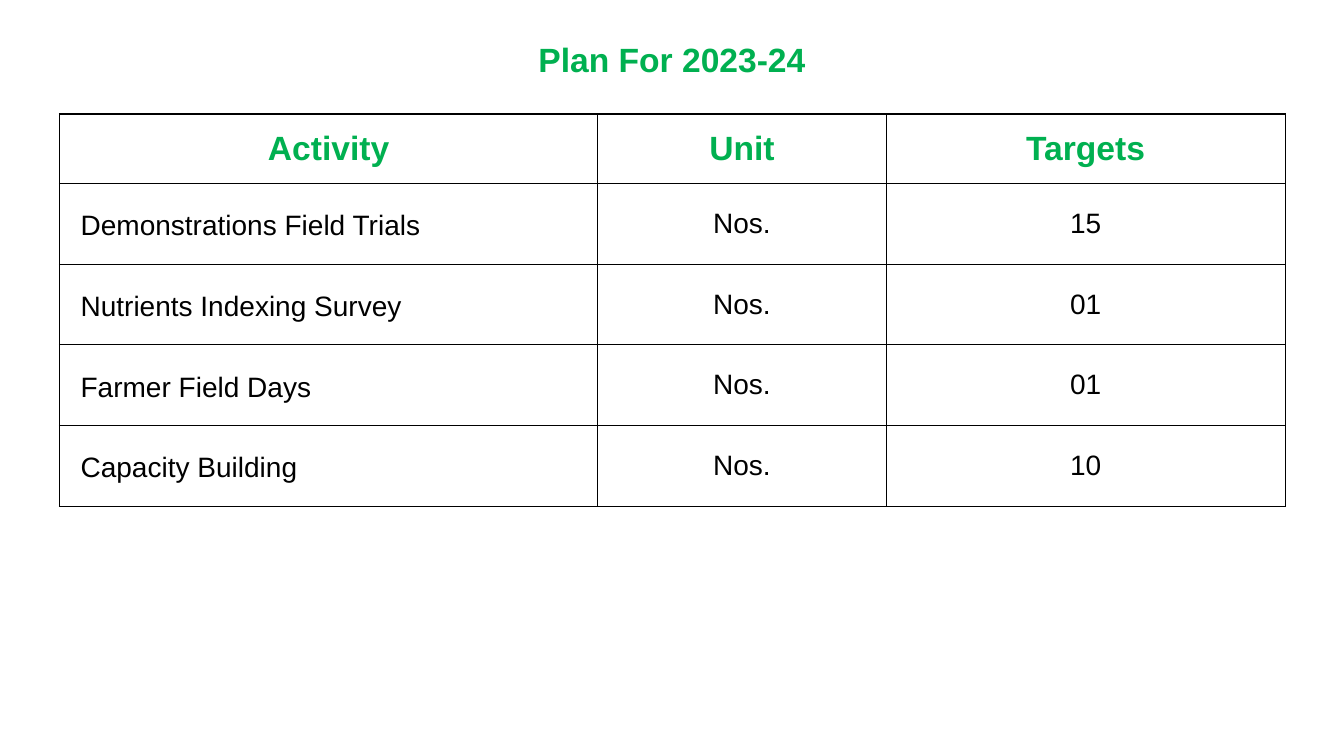
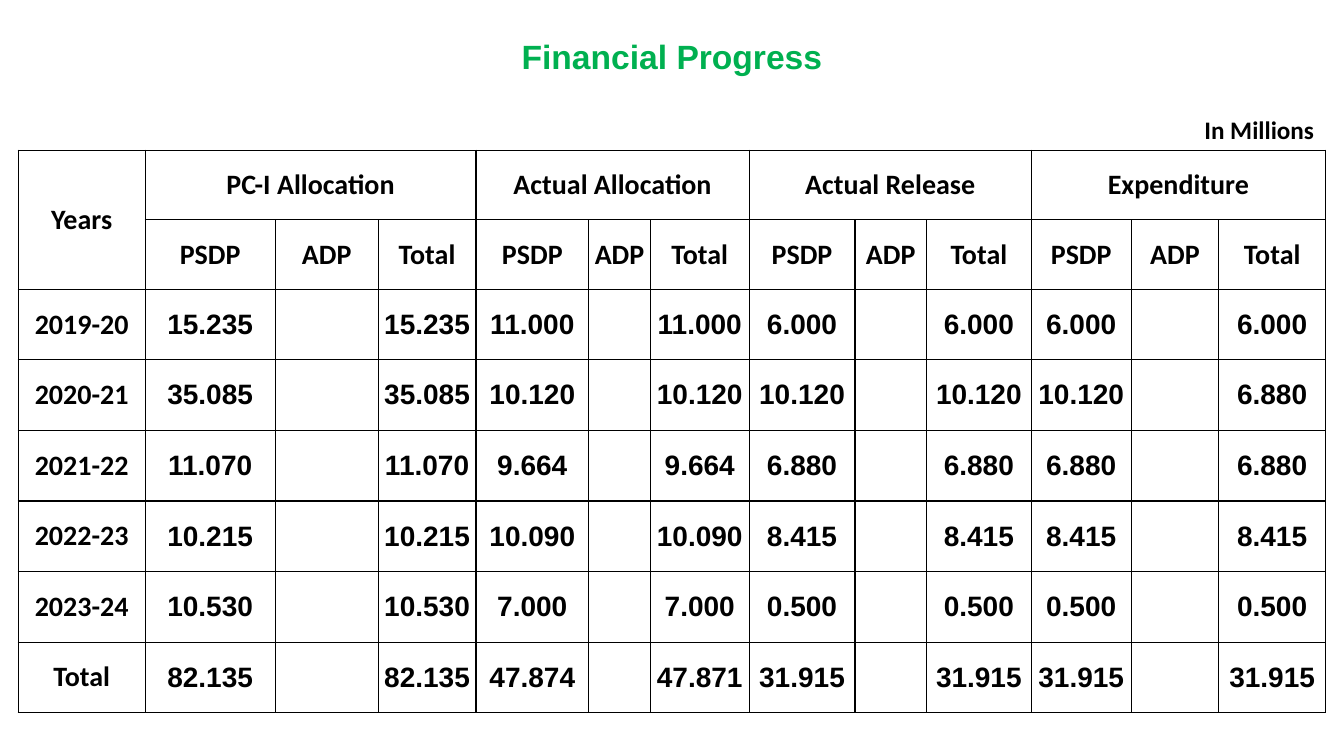
import pptx
import pptx.dml.color
import pptx.enum.text
import pptx.oxml
import pptx.oxml.ns
import pptx.util

Pt = pptx.util.Pt
ALIGN = pptx.enum.text.PP_ALIGN
MID = pptx.enum.text.MSO_ANCHOR.MIDDLE
GREEN, BLACK, WHITE = "00B050", "000000", "FFFFFF"
HEAD = {"name": "Arial", "size": Pt(24), "bold": True}
BODY = {"name": "Arial", "size": Pt(20), "bold": False}
BOLD = {**BODY, "bold": True}
LABEL = {**BOLD, "name": "Calibri"}
NOTE = {**LABEL, "size": Pt(18)}
WIDE, TALL = 960, 540


def tint(text):
    return pptx.dml.color.RGBColor.from_string(text)


def assign(item, values):
    for key, value in values.items():
        setattr(item, key, value)


class Deck:
    """Hold the shared style and the current slide."""

    def __init__(self):
        self.show = pptx.Presentation()
        assign(self.show, {"slide_width": Pt(WIDE), "slide_height": Pt(TALL)})
        self.slide = None

    def label(self, frame, text, font, color, align=ALIGN.CENTER):
        para = frame.paragraphs[0]
        para.alignment = align
        run = para.add_run()
        run.text = text
        assign(run.font, font)
        run.font.color.rgb = tint(color)

    def start(self, title, top):
        self.slide = self.show.slides.add_slide(self.show.slide_layouts[5])
        shape = self.slide.shapes.title
        assign(shape, {"left": Pt(120), "top": Pt(top),
                       "width": Pt(WIDE - 240), "height": Pt(36)})
        assign(shape.text_frame, {"vertical_anchor": MID,
                                  "auto_size": pptx.enum.text.MSO_AUTO_SIZE.NONE})
        self.label(shape.text_frame, title, HEAD, GREEN)

    def note(self, text, left, top, width, height):
        box = self.slide.shapes.add_textbox(Pt(left), Pt(top), Pt(width), Pt(height))
        box.text_frame.word_wrap = False
        self.label(box.text_frame, text, NOTE, BLACK, ALIGN.LEFT)

    def border(self, cell):
        props = cell._tc.get_or_add_tcPr()
        for side in "LRTB":
            props.append(pptx.oxml.parse_xml(
                f'<a:ln{side} {pptx.oxml.ns.nsdecls("a")} w="{Pt(1)}"><a:solidFill>'
                f'<a:srgbClr val="{BLACK}"/></a:solidFill></a:ln{side}>'))
        cell.fill.solid()
        cell.fill.fore_color.rgb = tint(WHITE)
        assign(cell, {"vertical_anchor": MID, "margin_left": Pt(4), "margin_right": Pt(4),
                      "margin_top": Pt(0), "margin_bottom": Pt(0)})

    def table(self, left, top, cols, rows, data, style):
        grid = self.slide.shapes.add_table(
            len(rows), len(cols), Pt(left), Pt(top), Pt(sum(cols)), Pt(sum(rows))).table
        assign(grid, {"first_row": False, "horz_banding": False})
        for col, width in zip(grid.columns, cols):
            col.width = Pt(width)
        for row, height in zip(grid.rows, rows):
            row.height = Pt(height)
        for r, line in enumerate(data):
            for c, text in enumerate(line):
                cell = grid.cell(r, c)
                self.border(cell)
                if text:
                    self.label(cell.text_frame, text, *style(r, c))
        return grid

    def indent(self, cell, left):
        para = cell.text_frame.paragraphs[0]
        assign(para, {"alignment": ALIGN.LEFT, "line_spacing": 1.15})
        para._p.get_or_add_pPr().set("marL", str(Pt(left)))
        assign(cell, {"margin_left": Pt(0.7), "margin_right": Pt(0.7)})


def plan(deck):
    deck.start("Plan For 2023-24", 24)
    targets = [("Demonstrations Field Trials", "15"), ("Nutrients Indexing Survey", "01"),
               ("Farmer Field Days", "01"), ("Capacity Building", "10")]
    data = [("Activity", "Unit", "Targets")] + [(name, "Nos.", goal) for name, goal in targets]
    grid = deck.table(42.5, 81.4, [384.5, 206, 285], [49.7] + [57.6] * len(targets), data,
                      lambda r, c: (BODY, BLACK) if r else (HEAD, GREEN))
    for r in range(1, len(data)):
        deck.indent(grid.cell(r, 0), 14.4)


def finance(deck):
    deck.start("Financial Progress", 22)
    groups = ["PC-I Allocation", "Actual Allocation", "Actual Release", "Expenditure"]
    years = [
        "2019-20 15.235 15.235 11.000 11.000 6.000 6.000 6.000 6.000",
        "2020-21 35.085 35.085 10.120 10.120 10.120 10.120 10.120 6.880",
        "2021-22 11.070 11.070 9.664 9.664 6.880 6.880 6.880 6.880",
        "2022-23 10.215 10.215 10.090 10.090 8.415 8.415 8.415 8.415",
        "2023-24 10.530 10.530 7.000 7.000 0.500 0.500 0.500 0.500",
        "Total 82.135 82.135 47.874 47.871 31.915 31.915 31.915 31.915",
    ]
    data = [["Years"], [""] + ["PSDP", "ADP", "Total"] * len(groups)]
    for group in groups:
        data[0] += [group, "", ""]
    for year in years:
        name, *sums = year.split()
        line = [name]
        for psdp, total in zip(sums[::2], sums[1::2]):
            line += [psdp, "", total]
        data.append(line)
    cols = [90.7, 92.9, 73.6, 69.8, 80.6, 44, 70.6, 75.6, 51.1, 74.9, 71.3, 62.6, 76.3]
    grid = deck.table(13, 107.3, cols, [49.7] * 2 + [50.4] * len(years), data,
                      lambda r, c: (BOLD if r > 1 and c else LABEL, BLACK))
    grid.cell(0, 0).merge(grid.cell(1, 0))
    for c in range(1, len(cols), 3):
        grid.cell(0, c).merge(grid.cell(0, c + 2))
    deck.note("In Millions", 853.2, 77.8, 93.6, 28.8)


def main():
    deck = Deck()
    plan(deck)
    finance(deck)
    deck.show.save("out.pptx")


if __name__ == "__main__":
    main()
